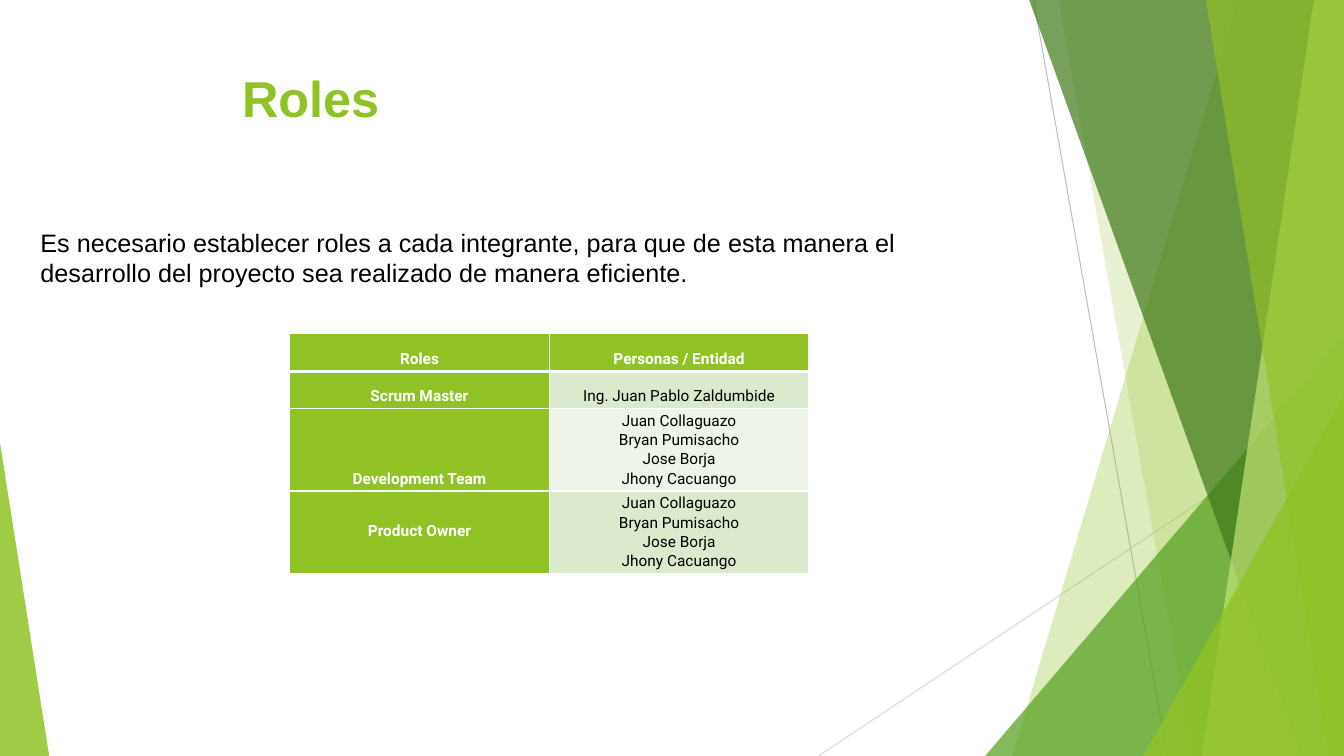
"""Build the slide that lists the project roles and who fills them."""
from lxml import etree
from pptx import Presentation
from pptx import util as u
from pptx.dml.color import RGBColor
from pptx.enum import shapes, text
from pptx.oxml.ns import qn

TITLE = "Roles"
INTRO = [
    "Es necesario establecer roles a cada integrante, para que de esta manera el",
    "desarrollo del proyecto sea realizado de manera eficiente.",
]
TEAM = ["Juan Collaguazo", "Bryan Pumisacho", "Jose Borja", "Jhony Cacuango"]
ROLES = [
    ("Roles", ["Personas / Entidad"]),
    ("Scrum Master", ["Ing. Juan Pablo Zaldumbide"]),
    ("Development Team", TEAM),
    ("Product Owner", TEAM),
]
THEME = {
    "lime": "90C226", "white": "FFFFFF", "black": "000000",
    "bands": ["EEF4E8", "DBE9CD"],
    "sans": "Arial", "cell": "Roboto",
    "title": 36, "body": 18, "small": 11,
}
WIDE, HIGH = 33.86, 19.05
RAYS = [((26.04, 0), (29.41, HIGH), "BFBFBF"),
        ((WIDE, 10.24), (20.62, HIGH), "D9D9D9")]
VEILS = [
    ("band", 31.19, 25.5, "90C226", 30),
    ("band", 26.67, 30.05, "90C226", 20),
    ("peak", 24.82, 8.46, "54A021", 72),
    ("band", 25.93, 32.79, "3F7819", 70),
    ("band", 33.1, 30.28, "C0E474", 70),
    ("band", 30.38, 33.48, "90C226", 65),
    ("peak", 28.8, 9.98, "90C226", 80),
]
LEFT = (1.24, 11.15, "90C226", 85)
ROWS = [0.97, 0.94, 2.01, 2.01]
COL = 6.54


def color(code):
    return RGBColor.from_string(code)


def tint(shape, code, alpha):
    shape.shadow.inherit = False
    shape.line.fill.background()
    shape.fill.solid()
    shape.fill.fore_color.rgb = color(code)
    tone = shape.fill._xPr.find(qn("a:solidFill"))[0]
    etree.SubElement(tone, qn("a:alpha")).set("val", str(alpha * 1000))


def ray(slide, start, end, code):
    ends = [u.Cm(n) for n in start + end]
    line = slide.shapes.add_connector(shapes.MSO_CONNECTOR.STRAIGHT, *ends)
    line.line.color.rgb = color(code)
    line.line.width = u.Pt(0.75)
    etree.SubElement(line._element.spPr, qn("a:effectLst"))


def band(slide, top, base, code, alpha):
    pen = slide.shapes.build_freeform(u.Cm(top), 0)
    spots = [(WIDE, 0), (WIDE, HIGH), (base, HIGH)]
    pen.add_line_segments([(u.Cm(x), u.Cm(y)) for x, y in spots])
    tint(pen.convert_to_shape(), code, alpha)


def peak(slide, left, right, top, tip, code, alpha):
    area = [u.Cm(n) for n in (left, top, right - left, HIGH - top)]
    shape = slide.shapes.add_shape(shapes.MSO_SHAPE.ISOSCELES_TRIANGLE, *area)
    shape.adjustments[0] = tip
    tint(shape, code, alpha)


def write(frame, lines, face, size, code, bold=False):
    for i, words in enumerate(lines):
        para = frame.add_paragraph() if i else frame.paragraphs[0]
        run = para.add_run()
        run.text = words
        run.font.name = face
        run.font.size = u.Pt(size)
        run.font.bold = bold
        run.font.color.rgb = color(code)


def label(slide, area, lines, size, code, bold=False):
    frame = slide.shapes.add_textbox(*[u.Cm(n) for n in area]).text_frame
    frame.word_wrap = False
    frame.margin_left = 0
    write(frame, lines, THEME["sans"], size, code, bold)


def edge(cell, sides):
    props = cell._tc.get_or_add_tcPr()
    for i, (side, width) in enumerate(sides):
        line = etree.Element(qn("a:ln" + side), w=str(u.Pt(width)))
        fill = etree.SubElement(line, qn("a:solidFill"))
        etree.SubElement(fill, qn("a:srgbClr")).set("val", THEME["white"])
        props.insert(i, line)


def fill_cell(cell, lines, row, col):
    head = row == 0 or col == 0
    cell.fill.solid()
    cell.fill.fore_color.rgb = color(THEME["lime"] if head else THEME["bands"][row % 2])
    cell.margin_left = cell.margin_right = u.Cm(0.2)
    cell.margin_top, cell.margin_bottom = 0, u.Cm(0.08)
    mid = row == len(ROLES) - 1 and col == 0
    cell.vertical_anchor = text.MSO_ANCHOR.MIDDLE if mid else text.MSO_ANCHOR.BOTTOM
    write(cell.text_frame, lines, THEME["cell"], THEME["small"],
          THEME["white"] if head else THEME["black"], head)
    for para in cell.text_frame.paragraphs:
        para.alignment = text.PP_ALIGN.CENTER
        para.line_spacing = 1.07
    edge(cell, [("L", 1), ("R", 1), ("T", 3 if row == 1 else 1),
                ("B", 3 if row == 0 else 1)])


def grid(slide):
    area = [u.Cm(n) for n in (7.3, 8.39, 2 * COL, sum(ROWS))]
    table = slide.shapes.add_table(len(ROLES), 2, *area).table
    for col in table.columns:
        col.width = u.Cm(COL)
    for row, (role, names) in enumerate(ROLES):
        table.rows[row].height = u.Cm(ROWS[row])
        for col, lines in enumerate(([role], names)):
            fill_cell(table.cell(row, col), lines, row, col)


def main():
    deck = Presentation()
    deck.slide_width, deck.slide_height = u.Cm(WIDE), u.Cm(HIGH)
    slide = deck.slides.add_slide(deck.slide_layouts[6])
    for item in RAYS:
        ray(slide, *item)
    for kind, a, b, code, alpha in VEILS:
        if kind == "band":
            band(slide, a, b, code, alpha)
        else:
            peak(slide, a, WIDE, b, 1, code, alpha)
    right, top, code, alpha = LEFT
    peak(slide, 0, right, top, 0, code, alpha)
    label(slide, (6.1, 1.57, 23.62, 3.66), [TITLE], THEME["title"], THEME["lime"], True)
    grid(slide)
    label(slide, (1.02, 5.6, 22.15, 2.31), INTRO, THEME["body"], THEME["black"])
    deck.save("out.pptx")


if __name__ == "__main__":
    main()
